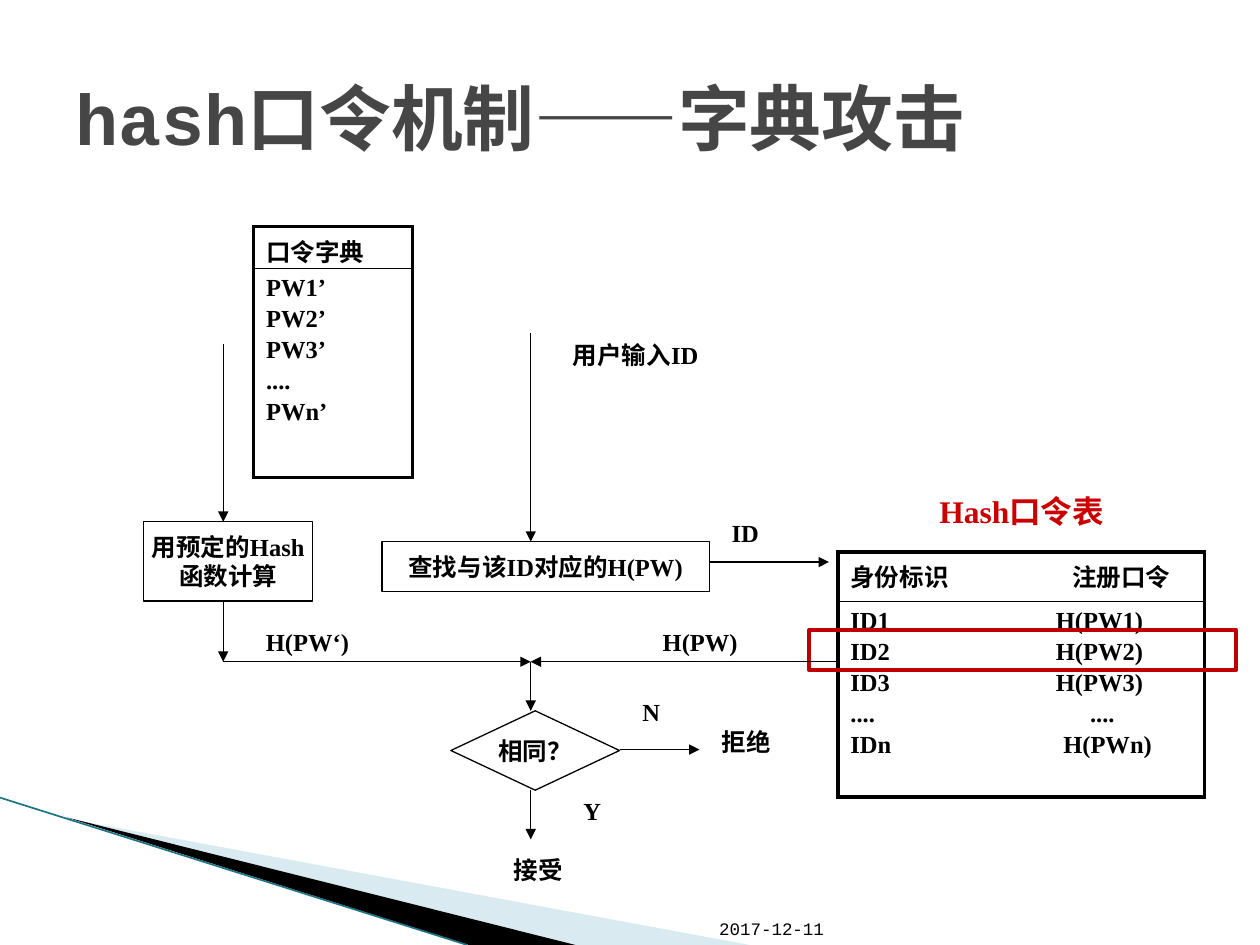
import dataclasses

import pptx
import pptx.dml.color
import pptx.enum.shapes
import pptx.enum.text
import pptx.oxml.ns
import pptx.util
from lxml import etree

Cm = pptx.util.Cm
Pt = pptx.util.Pt
Shape = pptx.enum.shapes.MSO_SHAPE
Align = pptx.enum.text.PP_ALIGN
Anchor = pptx.enum.text.MSO_ANCHOR
qn = pptx.oxml.ns.qn


@dataclasses.dataclass(frozen=True)
class Theme:
    serif: str = "Times New Roman"
    mono: str = "Courier New"
    ink: str = "000000"
    paper: str = "FFFFFF"
    grey: str = "464646"
    red: str = "CC0000"
    frame: str = "C00000"
    pale: str = "A0CBDC"
    teal: str = "1B7587"
    title: float = 41
    head: float = 18
    body: float = 14
    small: float = 10
    thin: float = 0.75
    rule: float = 1
    thick: float = 2.25


def rgb(code):
    return pptx.dml.color.RGBColor.from_string(code)


def sub(node, tag, **attrs):
    return etree.SubElement(node, qn(tag), attrs)


class Board:
    def __init__(self, slide, theme):
        self.slide = slide
        self.theme = theme

    def fill_text(self, frame, text, size=None, color=None, font=None,
                  bold=True, align=Align.LEFT, gap=0, tabs=()):
        frame.text = text
        for i, para in enumerate(frame.paragraphs):
            if tabs:
                stops = sub(para._p.get_or_add_pPr(), "a:tabLst")
                sub(stops, "a:tab", pos=str(Cm(tabs[i])), algn="l")
            para.alignment = align
            if i and gap:
                para.space_before = Pt(gap)
            for run in para.runs:
                run.font.name = font or self.theme.serif
                run.font.size = Pt(size or self.theme.body)
                run.font.bold = bold
                run.font.color.rgb = rgb(color or self.theme.ink)

    def label(self, text, x, y, w, h=0.84, anchor=Anchor.TOP, **style):
        box = self.slide.shapes.add_textbox(Cm(x), Cm(y), Cm(w), Cm(h))
        box.text_frame.word_wrap = True
        box.text_frame.vertical_anchor = anchor
        self.fill_text(box.text_frame, text, **style)

    def step(self, text, x, y, w, h, kind=Shape.RECTANGLE):
        box = self.slide.shapes.add_shape(kind, Cm(x), Cm(y), Cm(w), Cm(h))
        box.shadow.inherit = False
        box.fill.solid()
        box.fill.fore_color.rgb = rgb(self.theme.paper)
        box.line.color.rgb = rgb(self.theme.ink)
        box.line.width = Pt(self.theme.thin)
        box.text_frame.word_wrap = False
        box.text_frame.vertical_anchor = Anchor.MIDDLE
        self.fill_text(box.text_frame, text, align=Align.CENTER)

    def ring(self, x, y, w, h):
        """Unfilled frame that marks a table row."""
        box = self.slide.shapes.add_shape(
            Shape.RECTANGLE, Cm(x), Cm(y), Cm(w), Cm(h))
        box.shadow.inherit = False
        box.fill.background()
        box.line.color.rgb = rgb(self.theme.frame)
        box.line.width = Pt(self.theme.thick)

    def line(self, x1, y1, x2, y2, color=None, width=None, arrow=True):
        link = self.slide.shapes.add_connector(
            pptx.enum.shapes.MSO_CONNECTOR.STRAIGHT,
            Cm(x1), Cm(y1), Cm(x2), Cm(y2))
        link.line.color.rgb = rgb(color or self.theme.ink)
        link.line.width = Pt(width or self.theme.thin)
        if arrow:
            sub(link.line._get_or_add_ln(), "a:tailEnd", type="triangle")
        sub(link._element.spPr, "a:effectLst")

    def wedge(self, points, color, alpha=None):
        spots = [(Cm(x), Cm(y)) for x, y in points]
        pen = self.slide.shapes.build_freeform(*spots[0])
        pen.add_line_segments(spots[1:], close=True)
        form = pen.convert_to_shape()
        form.shadow.inherit = False
        form.fill.solid()
        form.fill.fore_color.rgb = rgb(color)
        form.line.fill.background()
        if alpha:
            tint = form._element.spPr.find(qn("a:solidFill"))[0]
            sub(tint, "a:alpha", val=str(alpha * 1000))

    def edge(self, cell, top, base):
        """Draw the four borders of a cell."""
        props = cell._tc.get_or_add_tcPr()
        thick = self.theme.thick
        sides = {"L": thick, "R": thick, "T": top, "B": base}
        for i, (side, width) in enumerate(sides.items()):
            line = etree.Element(qn("a:ln" + side), w=str(Pt(width)))
            fill = sub(line, "a:solidFill")
            sub(fill, "a:srgbClr", val=self.theme.ink)
            props.insert(i, line)

    def table(self, texts, x, y, w, rows, tabs=((), ())):
        grid = self.slide.shapes.add_table(
            2, 1, Cm(x), Cm(y), Cm(w), Cm(sum(rows))).table
        grid.first_row = grid.horz_banding = False
        thick, rule = self.theme.thick, self.theme.rule
        rims = ((thick, rule), (rule, thick))
        for i, text in enumerate(texts):
            cell = grid.cell(i, 0)
            grid.rows[i].height = Cm(rows[i])
            cell.margin_bottom = 0
            cell.fill.background()
            self.edge(cell, *rims[i])
            self.fill_text(cell.text_frame, text, gap=2.2, tabs=tabs[i])


def main():
    deck = pptx.Presentation()
    deck.slide_width, deck.slide_height = Cm(25.4), Cm(19.05)
    theme = Theme()
    board = Board(deck.slides.add_slide(deck.slide_layouts[6]), theme)

    board.wedge([(1.4, 16.51), (15.11, 19.05), (11.58, 19.05)],
                theme.pale, alpha=40)
    board.wedge([(1.35, 16.48), (11.6, 19.05), (9.45, 19.05)], theme.ink)
    board.line(0, 16.08, 9.42, 19.05, theme.teal, 0.95, arrow=False)
    board.label("2017-12-11", 14.25, 17.81, 2.84, 1.24, Anchor.BOTTOM,
                size=theme.small, font=theme.mono, bold=False)
    board.label("hash口令机制——字典攻击", 1.27, 0.76, 22.86, 3.18,
                Anchor.MIDDLE, size=theme.title, font=theme.mono,
                color=theme.grey)

    pairs = [("ID1", "H(PW1)"), ("ID2", "H(PW2)"), ("ID3", "H(PW3)"),
             ("....", "...."), ("IDn", "H(PWn)")]
    board.table(["身份标识\t注册口令", "\n".join(map("\t".join, pairs))],
                16.89, 11.13, 7.39, (1, 3.94),
                tabs=((4.47,), (4.14, 4.14, 4.14, 4.83, 4.29)))
    board.table(["口令字典", "PW1’\nPW2’\nPW3’\n....\nPWn’"],
                5.11, 4.57, 3.2, (0.84, 4.22))

    left, mid, join = 4.5, 10.7, 13.34
    board.step("相同？", 9.09, 14.33, 3.4, 1.6, Shape.FLOWCHART_DECISION)
    board.step("用预定的Hash\n函数计算", 2.9, 10.52, 3.4, 1.6)
    board.step("查找与该ID对应的H(PW)", 7.7, 10.92, 6.6, 1)
    board.ring(16.31, 12.7, 8.61, 0.81)

    for ends in [
        (left, 6.93, left, 10.52),
        (left, 12.12, left, join),
        (left, join, mid, join),
        (16.89, join, mid, join),
        (mid, 6.71, mid, 10.92),
        (mid, join, mid, 14.33),
        (mid, 15.93, mid, 16.92),
        (12.5, 15.11, 14.1, 15.11),
        (14.3, 11.33, 16.71, 11.33),
    ]:
        board.line(*ends)

    for text, x, y, w in [
        ("接受", 10.11, 17.12, 1.8),
        ("拒绝", 14.3, 14.53, 2),
        ("N", 12.7, 13.92, 2),
        ("Y", 11.51, 15.93, 2),
        ("H(PW‘)", 5.11, 12.52, 3.2),
        ("H(PW)", 13.11, 12.52, 3.2),
        ("用户输入ID", 11.3, 6.73, 5.61),
        ("ID", 14.5, 10.31, 1.4),
    ]:
        board.label(text, x, y, w)
    board.label("Hash口令表", 17.09, 9.8, 7.01, 1.27, size=theme.head,
                color=theme.red, align=Align.CENTER)

    deck.save("out.pptx")


if __name__ == "__main__":
    main()
